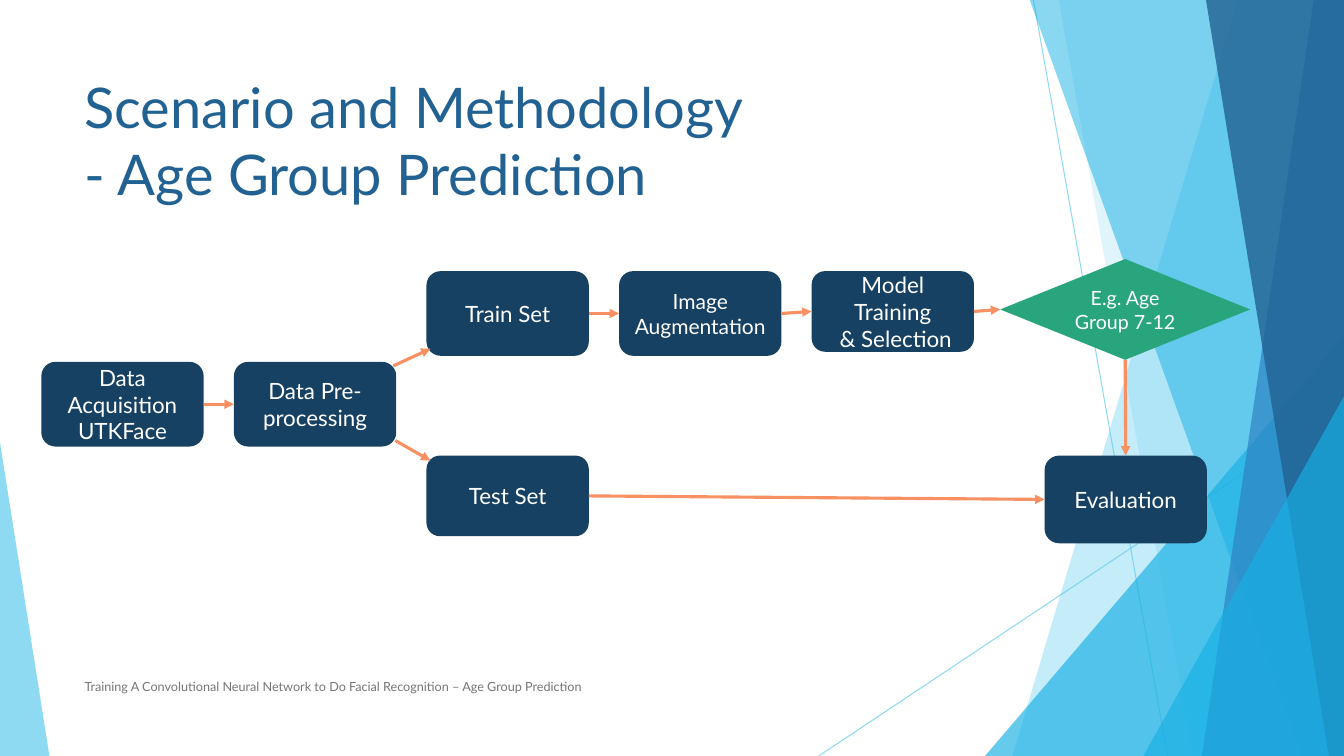
from dataclasses import dataclass
from typing import Optional

from lxml import etree
from pptx import Presentation
from pptx.dml.color import RGBColor
from pptx.enum.shapes import MSO_CONNECTOR, MSO_SHAPE
from pptx.enum.text import MSO_ANCHOR, PP_ALIGN
from pptx.oxml.ns import qn
from pptx.util import Inches, Pt

STRAIGHT = MSO_CONNECTOR.STRAIGHT
ROUNDED, DIAMOND = MSO_SHAPE.ROUNDED_RECTANGLE, MSO_SHAPE.DIAMOND
TRIANGLE = MSO_SHAPE.ISOSCELES_TRIANGLE
TOP, MIDDLE = MSO_ANCHOR.TOP, MSO_ANCHOR.MIDDLE
LEFT, CENTER = PP_ALIGN.LEFT, PP_ALIGN.CENTER
SITE_TOP, SITE_LEFT, SITE_BOTTOM, SITE_RIGHT = range(4)
WIDTH, HEIGHT = 13.33, 7.5


@dataclass(frozen=True)
class Theme:
    font: str = "Lato"
    sky: str = "5FCBEF"
    cyan: str = "17B0E4"
    blue: str = "2E83C3"
    deep: str = "226292"
    navy: str = "174162"
    green: str = "29A57D"
    orange: str = "F79163"
    white: str = "FFFFFF"
    grey: str = "767676"
    title_pt: float = 40
    box_pt: float = 16
    tight_pt: float = 15
    diamond_pt: float = 14
    footer_pt: float = 9
    hairline_pt: float = 0.75
    arrow_pt: float = 2.25


THEME = Theme()


@dataclass(frozen=True)
class Band:
    """A facet reaching the right edge, with a slanted left side."""
    top_x: float
    bottom_x: float
    color: str
    alpha: int


@dataclass(frozen=True)
class Corner:
    """A triangle standing on the bottom edge."""
    left: float
    top: float
    width: float
    apex: float
    color: str
    alpha: int


@dataclass(frozen=True)
class Step:
    left: float
    top: float
    lines: tuple[str, ...]
    width: float = 1.61
    height: float = 0.84
    size: float = THEME.box_pt
    kind: MSO_SHAPE = ROUNDED
    color: str = THEME.navy


@dataclass(frozen=True)
class Link:
    source: str
    target: str
    begin_site: int = SITE_RIGHT
    end_site: int = SITE_LEFT


COLUMN = [0.41 + 1.91 * i for i in range(5)]
TRAIN_TOP, DATA_TOP, TEST_TOP = 2.69, 3.59, 4.52

BANDS_BACK = [Band(12.28, 10.04, THEME.sky, 36), Band(10.5, 11.83, THEME.sky, 20)]
BANDS_FRONT = [
    Band(10.21, 12.91, THEME.cyan, 50),
    Band(13.03, 11.92, THEME.blue, 70),
    Band(11.96, 13.18, THEME.deep, 80),
]
CORNER_BACK = Corner(9.77, 3.33, 3.56, 1, THEME.cyan, 66)
CORNERS_FRONT = [
    Corner(11.34, 3.93, 1.99, 1, THEME.cyan, 66),
    Corner(0, 4.39, 0.49, 0, THEME.sky, 70),
]
STEPS = {
    "acquire": Step(COLUMN[0], DATA_TOP, ("Data Acquisition", "UTKFace")),
    "prepare": Step(COLUMN[1], DATA_TOP, ("Data Pre-processing",)),
    "train": Step(COLUMN[2], TRAIN_TOP, ("Train Set",)),
    "test": Step(COLUMN[2], TEST_TOP, ("Test Set",), height=0.8),
    "augment": Step(COLUMN[3], TRAIN_TOP, ("Image Augmentation",), size=THEME.tight_pt),
    "model": Step(COLUMN[4], TRAIN_TOP, ("Model Training", " & Selection"), height=0.8),
    "evaluate": Step(10.36, TEST_TOP, ("Evaluation",), height=0.87),
    "group": Step(9.92, 2.57, ("E.g. Age Group 7-12",), 2.48, 1,
                  THEME.diamond_pt, DIAMOND, THEME.green),
}
LINKS = [
    Link("acquire", "prepare"),
    Link("train", "augment"),
    Link("augment", "model"),
    Link("model", "group"),
    Link("group", "evaluate", SITE_BOTTOM, SITE_TOP),
    Link("test", "evaluate"),
]
SPLITS = [(3.9, 3.63, 4.27, 3.46), (3.92, 4.37, 4.27, 4.57)]


def set_alpha(fill_parent, percent: int) -> None:
    color = fill_parent.find(".//" + qn("a:srgbClr"))
    etree.SubElement(color, qn("a:alpha")).set("val", str(percent * 1000))


def paint(s, color: str, alpha: Optional[int] = None) -> None:
    s.shadow.inherit = False
    s.fill.solid()
    s.fill.fore_color.rgb = RGBColor.from_string(color)
    s.line.fill.background()
    if alpha is not None:
        set_alpha(s._element.spPr.find(qn("a:solidFill")), alpha)


def add_line(shapes, x1: float, y1: float, x2: float, y2: float, color: str, width: float):
    c = shapes.add_connector(STRAIGHT, Inches(x1), Inches(y1), Inches(x2), Inches(y2))
    c.line.color.rgb = RGBColor.from_string(color)
    c.line.width = Pt(width)
    etree.SubElement(c._element.spPr, qn("a:effectLst"))
    return c


def add_arrow(shapes, x1: float = 0, y1: float = 0, x2: float = 1, y2: float = 1):
    c = add_line(shapes, x1, y1, x2, y2, THEME.orange, THEME.arrow_pt)
    etree.SubElement(c.line._get_or_add_ln(), qn("a:tailEnd")).set("type", "triangle")
    return c


def add_band(shapes, band: Band) -> None:
    builder = shapes.build_freeform(Inches(band.top_x), Inches(-0.01))
    corners = [(WIDTH, -0.01), (WIDTH, HEIGHT), (band.bottom_x, HEIGHT)]
    builder.add_line_segments([(Inches(x), Inches(y)) for x, y in corners], close=True)
    paint(builder.convert_to_shape(), band.color, band.alpha)


def add_corner(shapes, corner: Corner) -> None:
    s = shapes.add_shape(TRIANGLE, Inches(corner.left), Inches(corner.top),
                         Inches(corner.width), Inches(HEIGHT - corner.top))
    s.adjustments[0] = corner.apex
    paint(s, corner.color, corner.alpha)


def write(s, paragraphs: tuple[str, ...], size: float, color: str,
          align: PP_ALIGN, anchor: MSO_ANCHOR) -> None:
    tf = s.text_frame
    tf.word_wrap = True
    tf.vertical_anchor = anchor
    for i, text in enumerate(paragraphs):
        p = tf.add_paragraph() if i else tf.paragraphs[0]
        p.alignment = align
        for j, line in enumerate(text.split("\n")):
            if j:
                p.add_line_break()
            r = p.add_run()
            r.text = line
            r.font.name, r.font.size = THEME.font, Pt(size)
            r.font.color.rgb = RGBColor.from_string(color)


def add_step(shapes, step: Step):
    s = shapes.add_shape(step.kind, Inches(step.left), Inches(step.top),
                         Inches(step.width), Inches(step.height))
    paint(s, step.color)
    write(s, step.lines, step.size, THEME.white, CENTER, MIDDLE)
    return s


def main() -> None:
    prs = Presentation()
    prs.slide_width, prs.slide_height = Inches(WIDTH), Inches(HEIGHT)
    shapes = prs.slides.add_slide(prs.slide_layouts[6]).shapes

    # Faceted background
    for ends in [(10.25, 0, 11.58, HEIGHT), (WIDTH, 4.03, 8.12, HEIGHT)]:
        c = add_line(shapes, *ends, THEME.sky, THEME.hairline_pt)
        set_alpha(c.line._get_or_add_ln(), 70)
    for band in BANDS_BACK:
        add_band(shapes, band)
    add_corner(shapes, CORNER_BACK)
    for band in BANDS_FRONT:
        add_band(shapes, band)
    for corner in CORNERS_FRONT:
        add_corner(shapes, corner)

    # Title and footer
    title = shapes.add_textbox(Inches(0.74), Inches(0.67), Inches(9.4), Inches(1.44))
    write(title, ("Scenario and Methodology\n- Age Group Prediction",),
          THEME.title_pt, THEME.deep, LEFT, TOP)
    footer = shapes.add_textbox(Inches(0.74), Inches(6.61), Inches(6.89), Inches(0.4))
    write(footer, ("Training A Convolutional Neural Network to Do Facial Recognition"
                   " – Age Group Prediction",), THEME.footer_pt, THEME.grey, LEFT, MIDDLE)

    # Flowchart steps and arrows
    boxes = {name: add_step(shapes, step) for name, step in STEPS.items()}
    for link in LINKS:
        c = add_arrow(shapes)
        c.begin_connect(boxes[link.source], link.begin_site)
        c.end_connect(boxes[link.target], link.end_site)
    for ends in SPLITS:
        add_arrow(shapes, *ends)

    prs.save("out.pptx")


if __name__ == "__main__":
    main()
